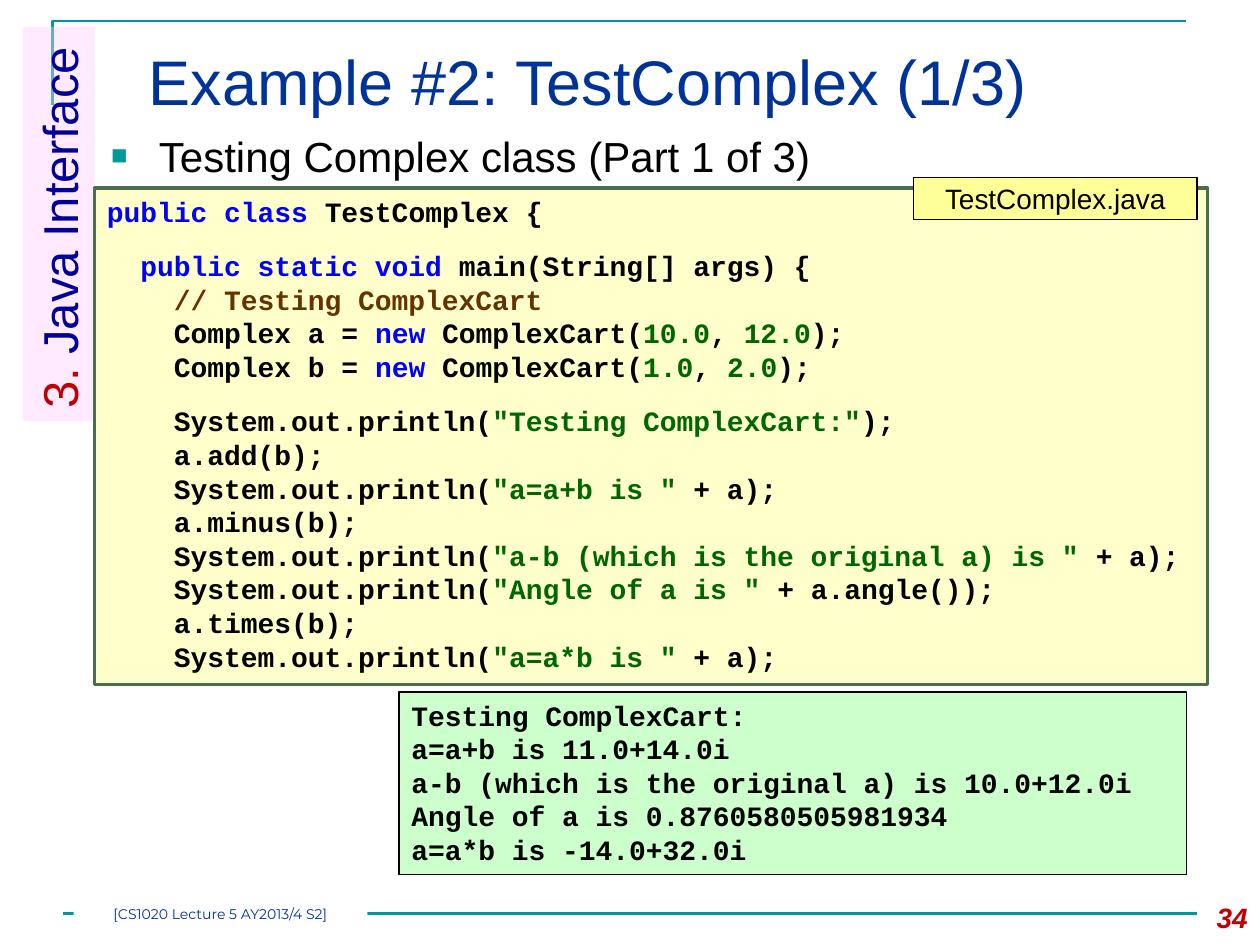
from dataclasses import dataclass
from typing import Any

from lxml.etree import SubElement
from pptx import Presentation
from pptx.dml.color import RGBColor
from pptx.enum.shapes import MSO_CONNECTOR, MSO_SHAPE
from pptx.enum.text import MSO_ANCHOR, PP_ALIGN
from pptx.oxml.ns import qn
from pptx.util import Inches, Pt

COLS, ROWS = 120, 90
WIDTH, HEIGHT = Inches(10), Inches(7.5)

BLACK = RGBColor(0x00, 0x00, 0x00)
WHITE = RGBColor(0xFF, 0xFF, 0xFF)
TEAL = RGBColor(0x00, 0x99, 0x99)
BLUE = RGBColor(0x00, 0x33, 0x99)
NAVY = RGBColor(0x00, 0x00, 0x99)
RED = RGBColor(0xC0, 0x00, 0x00)
PINK = RGBColor(0xFF, 0xCC, 0xFF)
MINT = RGBColor(0xCC, 0xFF, 0xCC)
CREAM = RGBColor(0xFF, 0xFF, 0xCC)
YELLOW = RGBColor(0xFF, 0xFF, 0x99)
MOSS = RGBColor(0x4C, 0x6D, 0x4E)
KEYWORD = RGBColor(0x00, 0x00, 0xFF)
COMMENT = RGBColor(0x66, 0x33, 0x00)
LITERAL = RGBColor(0x00, 0x66, 0x00)


def write(tf, lines, font="Arial", size=16, color=BLACK, bold=False, italic=False,
          align=PP_ALIGN.LEFT, anchor=MSO_ANCHOR.TOP, gap=12, bullet=None):
    """Fill a frame with lines of (text, colour) runs; an empty line adds a gap."""
    tf.word_wrap = True
    tf.vertical_anchor = anchor
    p, before = None, 0
    for line in lines:
        if not line:
            before = gap
            continue
        p = tf.add_paragraph() if p is not None else tf.paragraphs[0]
        p.alignment = align
        p.space_before, before = Pt(before), 0
        if bullet:
            add_bullet(p, bullet)
        for part in [line] if isinstance(line, str) else line:
            text, tint = (part, color) if isinstance(part, str) else part
            r = p.add_run()
            r.text = text
            r.font.name, r.font.size = font, Pt(size)
            r.font.bold, r.font.italic = bold, italic
            r.font.color.rgb = tint


def add_bullet(p, color):
    """Give a paragraph a square bullet and a hanging indent."""
    pPr = p._p.get_or_add_pPr()
    pPr.set("marL", str(Inches(0.38)))
    pPr.set("indent", str(-Inches(0.38)))
    SubElement(SubElement(pPr, qn("a:buClr")), qn("a:srgbClr")).set("val", str(color))
    SubElement(pPr, qn("a:buSzPct")).set("val", "65000")
    SubElement(pPr, qn("a:buFont")).set("typeface", "Arial")
    SubElement(pPr, qn("a:buChar")).set("char", "■")


@dataclass
class Canvas:
    """Place elements on the current slide by grid column and row."""
    s: Any
    rule: RGBColor = TEAL

    def place(self, col, row, cols, rows):
        """Turn grid units into slide lengths."""
        x, y = WIDTH / COLS, HEIGHT / ROWS
        return [round(v) for v in (col * x, row * y, cols * x, rows * y)]

    def text(self, at, lines, top=0.05, **fmt):
        """Add a plain text box."""
        tf = self.s.shapes.add_textbox(*self.place(*at)).text_frame
        tf.margin_top = Inches(top)
        write(tf, lines, **fmt)

    def box(self, at, lines, fill, line=None, weight=1, inset=True,
            opacity=None, turn=0, **fmt):
        """Add a filled rectangle with text."""
        sp = self.s.shapes.add_shape(MSO_SHAPE.RECTANGLE, *self.place(*at))
        sp.shadow.inherit = False
        sp.rotation = turn
        sp.fill.solid()
        sp.fill.fore_color.rgb = fill
        if opacity:
            clr = sp.fill._xPr.find(".//" + qn("a:srgbClr"))
            SubElement(clr, qn("a:alpha")).set("val", str(opacity * 1000))
        if line is None:
            sp.line.fill.background()
        else:
            sp.line.color.rgb, sp.line.width = line, Pt(weight)
        tf = sp.text_frame
        if not inset:
            tf.margin_left = tf.margin_right = tf.margin_top = tf.margin_bottom = 0
        write(tf, lines, **fmt)

    def line(self, col, row, cols):
        """Add a horizontal rule."""
        x, y, w, _ = self.place(col, row, cols, 0)
        c = self.s.shapes.add_connector(MSO_CONNECTOR.STRAIGHT, x, y, x + w, y)
        c.line.color.rgb, c.line.width = self.rule, Pt(1.5)
        SubElement(c._element.spPr, qn("a:effectLst"))

    def corner(self, col, row, cols, rows):
        """Add an open frame along the left and top edges."""
        x, y, w, h = self.place(col, row, cols, rows)
        fb = self.s.shapes.build_freeform(x, y + h)
        fb.add_line_segments([(x, y), (x + w, y)], close=False)
        sp = fb.convert_to_shape()
        sp.shadow.inherit = False
        sp.fill.background()
        sp.line.color.rgb, sp.line.width = self.rule, Pt(1.5)


def declare(name, real, imag):
    """Return the runs that create a complex number."""
    return [f"    Complex {name} = ", ("new", KEYWORD), " ComplexCart(",
            (real, LITERAL), ", ", (imag, LITERAL), ");"]


def show(literal, rest):
    """Return the runs of a print statement."""
    return ["    System.out.println(", (literal, LITERAL), rest]


CODE = [
    [("public class ", KEYWORD), "TestComplex {"],
    [],
    ["  ", ("public static void ", KEYWORD), "main(String[] args) {"],
    ["    ", ("// Testing ComplexCart", COMMENT)],
    declare("a", "10.0", "12.0"),
    declare("b", "1.0", "2.0"),
    [],
    show('"Testing ComplexCart:"', ");"),
    "    a.add(b);",
    show('"a=a+b is " ', "+ a);"),
    "    a.minus(b);",
    show('"a-b (which is the original a) is " ', "+ a);"),
    show('"Angle of a is " ', "+ a.angle());"),
    "    a.times(b);",
    show('"a=a*b is " ', "+ a);"),
]
OUTPUT = [
    "Testing ComplexCart:",
    "a=a+b is 11.0+14.0i",
    "a-b (which is the original a) is 10.0+12.0i",
    "Angle of a is 0.8760580505981934",
    "a=a*b is -14.0+32.0i",
]


def main():
    """Build the slide and save it."""
    prs = Presentation()
    prs.slide_width, prs.slide_height = WIDTH, HEIGHT
    c = Canvas(prs.slides.add_slide(prs.slide_layouts[6]))
    mono = {"font": "Courier New", "bold": True}
    middle = {"align": PP_ALIGN.CENTER, "anchor": MSO_ANCHOR.MIDDLE}

    c.corner(5, 2, 108, 8)
    c.line(6, 87, 108)
    c.text((13, 3, 104, 10.3), ["Example #2: TestComplex (1/3)"], top=0.09,
           size=36, color=BLUE)
    c.box((7, 86, 28, 2), ["[CS1020 Lecture 5 AY2013/4 S2]"], WHITE, inset=False,
          font="Montserrat", size=8, color=BLUE, **middle)
    c.text((112, 85.2, 8, 4.8), ["34"], color=RED, bold=True, italic=True,
           align=PP_ALIGN.RIGHT)
    c.box((-13.2, 17.9, 37.6, 6.85), [[("3. ", RED), "Java Interface"]], PINK,
          opacity=40, turn=270, size=28, color=NAVY)
    c.text((9.4, 11.8, 103, 7), ["Testing Complex class (Part 1 of 3)"], size=24,
           bullet=TEAL)
    c.box((38, 65.9, 75, 17.4), OUTPUT, MINT, BLACK, **mono)
    c.box((9, 17.9, 106, 47.3), CODE, CREAM, MOSS, weight=2, **mono)
    c.box((87, 16.9, 27, 4), ["TestComplex.java"], YELLOW, BLACK, weight=0.75, **middle)

    prs.save("out.pptx")


if __name__ == "__main__":
    main()
